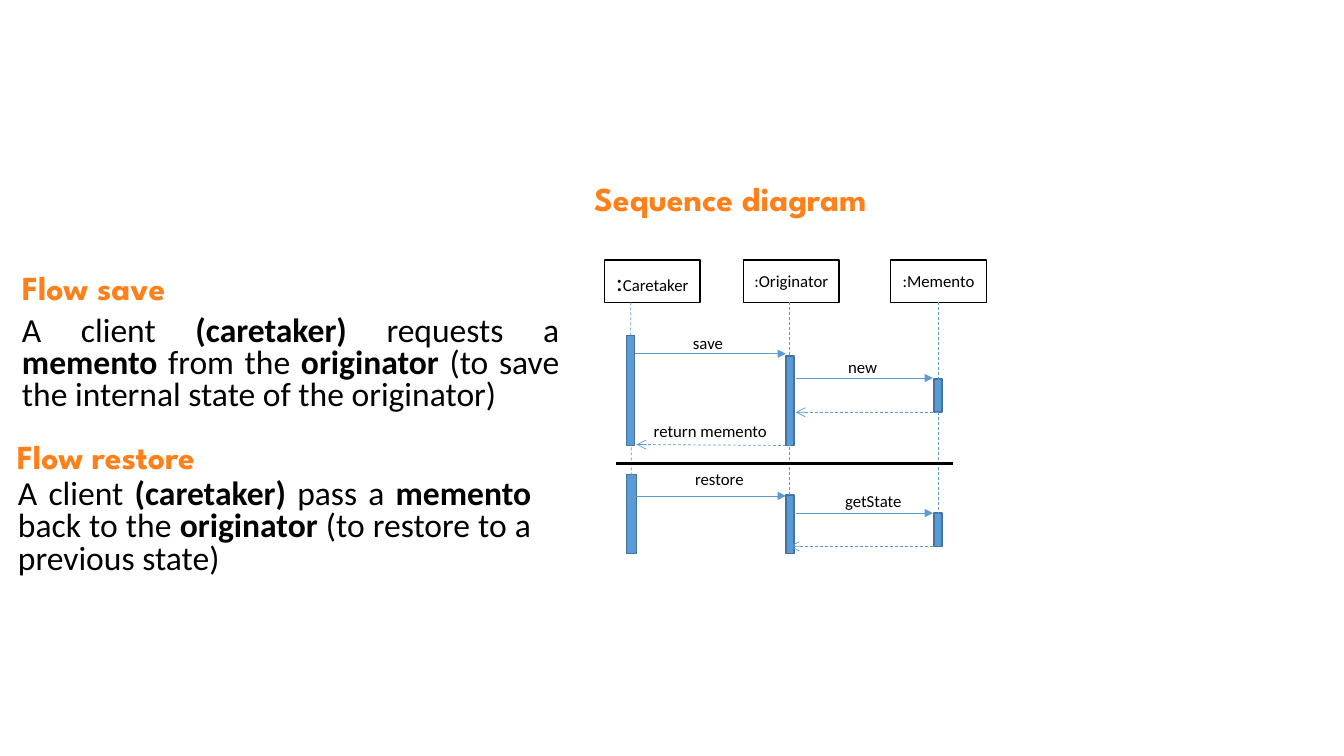
from lxml.etree import SubElement
from pptx import Presentation
from pptx.dml.color import RGBColor as RGB
from pptx.enum.dml import MSO_LINE as Dash
from pptx.enum.shapes import MSO_CONNECTOR as Conn, MSO_SHAPE as Geo
from pptx.enum.text import MSO_ANCHOR as Anchor, PP_ALIGN as Align
from pptx.oxml.ns import qn
from pptx.util import Inches, Pt

HUES = {"ink": "000000", "paper": "FFFFFF", "title": "FE801A",
        "bar": "5B9BD5", "edge": "43739E"}
BODY, HEAD = "Calibri", "League Spartan"

# Head boxes: left edge and runs of (text, size)
ROLES = [(6, [(":", 18), ("Caretaker", 12)]),
         (7.38, [(":Originator", 12)]),
         (8.84, [(":Memento", 12)])]
# Activation bars: left, top, width, height
BARS = [(6.22, 3.33, 0.08, 1.09), (7.8, 3.53, 0.08, 0.89),
        (9.27, 3.76, 0.08, 0.33), (6.22, 4.71, 0.1, 0.78),
        (7.8, 4.91, 0.08, 0.58), (9.27, 5.09, 0.08, 0.33)]
# Messages: start x, end x, y
CALLS = [(6.3, 7.8, 3.51), (7.9, 9.26, 3.75),
         (6.3, 7.8, 4.92), (7.9, 9.26, 5.09)]
# Replies: start x, start y, end x, end y
REPLIES = [(7.85, 4.42, 6.32, 4.41), (9.31, 4.09, 7.9, 4.09),
           (9.26, 5.42, 7.84, 5.42)]
# Lifelines: top x, bottom x, bottom y
LIVES = [(6.26, 6.27, 5.49), (7.84, 7.84, 5.49), (9.31, 9.31, 5.42)]
# Message labels: text, left, top, width
LABELS = [("save", 6.78, 3.25, 0.5), ("new", 8.32, 3.49, 0.49),
          ("return memento", 6.39, 4.12, 1.34),
          ("restore", 6.8, 4.6, 0.69), ("getState", 8.29, 4.82, 0.77)]
TITLES = [("Flow save", 0.12, 2.68), ("Sequence diagram", 5.8, 1.79),
          ("Flow restore", 0.07, 4.35)]
# Flow texts: left, top, width, text with bold parts between asterisks
FLOWS = [(0.12, 3.09, 5.53,
          "A client *(caretaker) *requests a* memento *from the *originator *"
          "(to save the internal state of the originator)"),
         (0.08, 4.71, 5.29,
          "A client *(caretaker) *pass a *memento* back to the *originator*"
          " (to restore to a previous state)")]


def color(name):
    """Return the named colour."""
    return RGB.from_string(HUES[name])


def style(run, size, face=BODY, hue="ink", bold=False):
    """Format one run."""
    font = run.font
    font.size, font.name, font.bold = Pt(size), face, bold
    font.color.rgb = color(hue)


def add_text(slide, x, y, w, h, wrap=True):
    """Add an empty text box and return its first paragraph."""
    box = slide.shapes.add_textbox(*map(Inches, (x, y, w, h)))
    box.text_frame.word_wrap = wrap
    return box.text_frame.paragraphs[0]


def add_title(slide, text, x, y):
    """Add an orange heading."""
    para = add_text(slide, x, y, 5.87, 1.02)
    para.text = text
    para.line_spacing = 0.8
    para.space_before, para.space_after = Pt(10), Pt(12)
    style(para.runs[0], 24, HEAD, "title", True)


def add_flow(slide, x, y, w, text):
    """Add a justified paragraph with bold parts."""
    para = add_text(slide, x, y, w, 1.08)
    para.alignment, para.line_spacing = Align.JUSTIFY, 0.8
    for i, part in enumerate(text.split("*")):
        run = para.add_run()
        run.text = part
        style(run, 24, bold=i % 2 == 1)


def add_label(slide, text, x, y, w):
    """Add a message label."""
    para = add_text(slide, x, y, w, 0.3, wrap=False)
    para.text = text
    style(para.runs[0], 12)


def add_rect(slide, x, y, w, h, fill, edge):
    """Add a flat rectangle."""
    rect = slide.shapes.add_shape(Geo.RECTANGLE, *map(Inches, (x, y, w, h)))
    rect.shadow.inherit = False
    rect.fill.solid()
    rect.fill.fore_color.rgb = color(fill)
    rect.line.color.rgb = color(edge)
    rect.line.width = Pt(1)
    return rect


def add_role(slide, x, parts):
    """Add the head box of a lifeline."""
    frame = add_rect(slide, x, 2.58, 0.95, 0.42, "paper", "ink").text_frame
    frame.vertical_anchor = Anchor.MIDDLE
    para = frame.paragraphs[0]
    para.alignment = Align.CENTER
    for text, size in parts:
        run = para.add_run()
        run.text = text
        style(run, size)


def add_line(slide, x1, y1, x2, y2, hue="bar", width=0.5, dash=False, tip=None):
    """Add a line, dashed or with an arrowhead at its end if asked."""
    line = slide.shapes.add_connector(
        Conn.STRAIGHT, *map(Inches, (x1, y1, x2, y2)))
    line.line.color.rgb = color(hue)
    line.line.width = Pt(width)
    if dash:
        line.line.dash_style = Dash.DASH
    props = line.element.spPr
    if tip:
        SubElement(props.find(qn("a:ln")), qn("a:tailEnd"), type=tip)
    SubElement(props, qn("a:effectLst"))


def main():
    """Build the slide and save it."""
    deck = Presentation()
    deck.slide_width, deck.slide_height = Inches(13.34), Inches(7.5)
    slide = deck.slides.add_slide(deck.slide_layouts[6])
    for title in TITLES:
        add_title(slide, *title)
    for flow in FLOWS:
        add_flow(slide, *flow)
    for role in ROLES:
        add_role(slide, *role)
    for bar in BARS:
        add_rect(slide, *bar, "bar", "edge")
    for x1, x2, y in CALLS:
        add_line(slide, x1, y, x2, y, tip="triangle")
    for reply in REPLIES:
        add_line(slide, *reply, dash=True, tip="arrow")
    for label in LABELS:
        add_label(slide, *label)
    for top, foot, y in LIVES:
        add_line(slide, top, 3, foot, y, dash=True)
    add_line(slide, 6.11, 4.6, 9.46, 4.6, "ink", 2.25)
    deck.save("out.pptx")


main()
